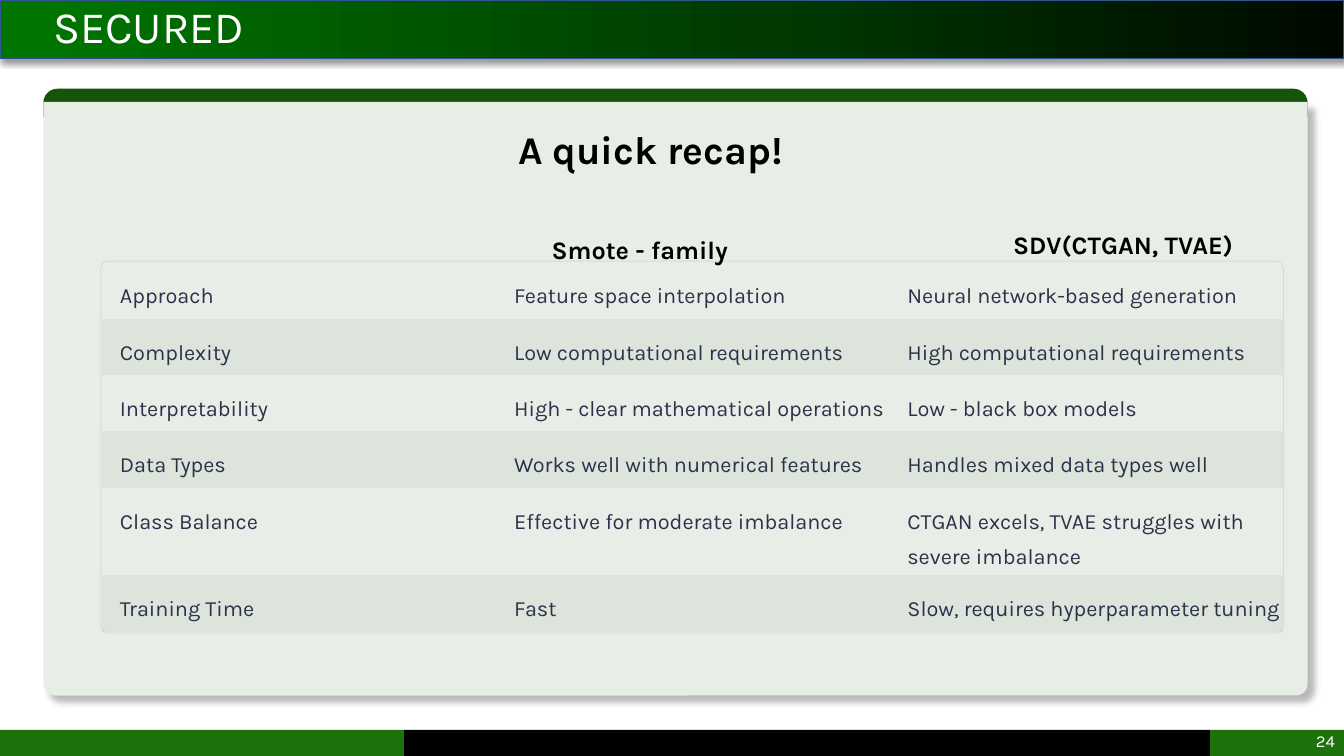
import pptx
import pptx.util
import pptx.dml.color
import pptx.enum.shapes
import pptx.enum.text
import pptx.oxml.ns
import lxml.etree

Inches = pptx.util.Inches
Pt = pptx.util.Pt
RGB = pptx.dml.color.RGBColor
KIND = pptx.enum.shapes.MSO_SHAPE
ALIGN = pptx.enum.text.PP_ALIGN
ANCHOR = pptx.enum.text.MSO_ANCHOR
qn = pptx.oxml.ns.qn

# Content
BANNER = "SECURED"
TITLE = "A quick recap!"
HEADS = ("Smote - family", "SDV(CTGAN, TVAE)")
PAGE = "24"
ROWS = [
    ("Approach", "Feature space interpolation", "Neural network-based generation"),
    ("Complexity", "Low computational requirements", "High computational requirements"),
    ("Interpretability", "High - clear mathematical operations", "Low - black box models"),
    ("Data Types", "Works well with numerical features", "Handles mixed data types well"),
    ("Class Balance", "Effective for moderate imbalance",
     "CTGAN excels, TVAE struggles with severe imbalance"),
    ("Training Time", "Fast", "Slow, requires hyperparameter tuning"),
]
HEIGHTS = (0.56, 0.56, 0.56, 0.56, 0.87, 0.56)

# Look
FONT = "Karla"
WHITE = RGB(0xFF, 0xFF, 0xFF)
BLACK = RGB(0, 0, 0)
GREEN = RGB(0x1E, 0x72, 0x0C)
CAP = RGB(0x16, 0x55, 0x09)
CARD = RGB(0xE7, 0xEE, 0xE6)
BANDS = (RGB(0xE8, 0xEE, 0xE7), RGB(0xDD, 0xE4, 0xDC))
INK = RGB(0x2C, 0x32, 0x49)
EDGE = RGB(0x32, 0x54, 0x90)
FADE = ((3, "007400"), (57, "003A00"), (100, "000900"))
LEAD = Pt(25)

deck = pptx.Presentation()
deck.slide_width, deck.slide_height = Inches(13.33), Inches(7.5)
slide = deck.slides.add_slide(deck.slide_layouts[6])
shapes = slide.shapes


def node(parent, tag, **attrs):
    return lxml.etree.SubElement(parent, qn(tag), attrs)


def alpha(color, share):
    node(color, "a:alpha", val=str(share * 1000))


def block(kind, box, color=None, clear=None):
    shape = shapes.add_shape(kind, *map(Inches, box))
    shape.shadow.inherit = False
    shape.line.fill.background()
    if color is None:
        shape.fill.background()
    else:
        shape.fill.solid()
        shape.fill.fore_color.rgb = color
    if clear:
        alpha(shape.fill._xPr.find(".//" + qn("a:srgbClr")), clear)
    return shape


def shade(shape, share, dist, angle):
    effects = shape._element.spPr.find(qn("a:effectLst"))
    outer = node(effects, "a:outerShdw", blurRad=str(Pt(4)), dist=str(Pt(dist)),
                 dir=str(angle * 60000), algn="ctr", rotWithShape="0")
    alpha(node(outer, "a:srgbClr", val="000000"), share)


def write(frame, text, size, color, bold=False, align=ALIGN.LEFT, lead=None):
    para = frame.paragraphs[0]
    para.alignment = align
    para.line_spacing = lead
    run = para.add_run()
    run.text = text
    run.font.name, run.font.size, run.font.bold = FONT, Pt(size), bold
    run.font.color.rgb = color


def label(box, text, size, color, anchor=ANCHOR.TOP, inset=True, **style):
    frame = shapes.add_textbox(*map(Inches, box)).text_frame
    frame.word_wrap = True
    frame.vertical_anchor = anchor
    if not inset:
        frame.margin_left = frame.margin_right = 0
        frame.margin_top = frame.margin_bottom = 0
    write(frame, text, size, color, **style)


# Footer
for left, width, color in ((0, 4, GREEN), (4, 8, BLACK), (12, 1.33, GREEN)):
    block(KIND.RECTANGLE, (left, 7.24, width, 0.26), color)

# Card
cap = block(KIND.ROUND_2_SAME_RECTANGLE, (0.43, 0.88, 12.54, 0.28), CAP)
cap.adjustments[0] = 0.5
card = block(KIND.ROUND_2_SAME_RECTANGLE, (0.43, 1.01, 12.54, 5.89), CARD)
card.adjustments[0], card.adjustments[1] = 0, 0.02
shade(card, 27, 7, 45)

# Banner
bar = block(KIND.RECTANGLE, (0, 0, 13.33, 0.58), BLACK)
bar.fill.gradient()
bar.fill.gradient_angle = 0
stops = bar._element.spPr.find(".//" + qn("a:gsLst"))
for stop in list(stops):
    stops.remove(stop)
for pos, color in FADE:
    node(node(stops, "a:gs", pos=str(pos * 1000)), "a:srgbClr", val=color)
bar.line.color.rgb = EDGE
bar.line.width = Pt(1)
shade(bar, 40, 3, 90)
label((0.43, 0, 8.99, 0.58), BANNER, 32, WHITE, anchor=ANCHOR.MIDDLE, lead=0.9)

# Table
grid = shapes.add_table(len(ROWS), 3, Inches(1.01), Inches(2.6),
                        Inches(11.72), Inches(sum(HEIGHTS))).table
grid.first_row = grid.horz_banding = False
grid._tbl.tblPr.find(qn("a:tableStyleId")).text = "{2D5ABB26-0587-4C30-8999-92F81FD0307C}"
for col, width in zip(grid.columns, (3.91, 3.9, 3.91)):
    col.width = Inches(width)
for i, (row, height) in enumerate(zip(ROWS, HEIGHTS)):
    grid.rows[i].height = Inches(height)
    for j, text in enumerate(row):
        cell = grid.cell(i, j)
        cell.fill.solid()
        cell.fill.fore_color.rgb = BANDS[i % 2]
        cell.margin_left, cell.margin_top = Inches(0.18), Inches(0.12)
        cell.margin_right = cell.margin_bottom = 0
        write(cell.text_frame, text, 15.5, INK, lead=LEAD)

# Table frame
edge = block(KIND.ROUNDED_RECTANGLE, (1, 2.59, 11.73, 3.69))
edge.adjustments[0] = 0.02
edge.line.color.rgb = BLACK
edge.line.width = Pt(0.6)
alpha(edge.line._ln.find(".//" + qn("a:srgbClr")), 8)

# Column heads
block(KIND.RECTANGLE, (1.11, 2.23, 5.69, 0.43), WHITE, 4)
label((0.48, 2.28, 11.73, 0.31), HEADS[0], 18, BLACK, inset=False,
      bold=True, align=ALIGN.CENTER, lead=LEAD)
head = block(KIND.RECTANGLE, (9.95, 2.23, 2.79, 0.46), WHITE, 4)
head.text_frame.vertical_anchor = ANCHOR.TOP
write(head.text_frame, HEADS[1], 18, BLACK, bold=True)

# Page number and title
label((10.31, 7.18, 3.03, 0.34), PAGE, 12, WHITE, anchor=ANCHOR.MIDDLE, align=ALIGN.RIGHT)
label((3.08, 1.31, 6.74, 0.45), TITLE, 28, BLACK, bold=True, align=ALIGN.CENTER, lead=LEAD)

deck.save("out.pptx")
